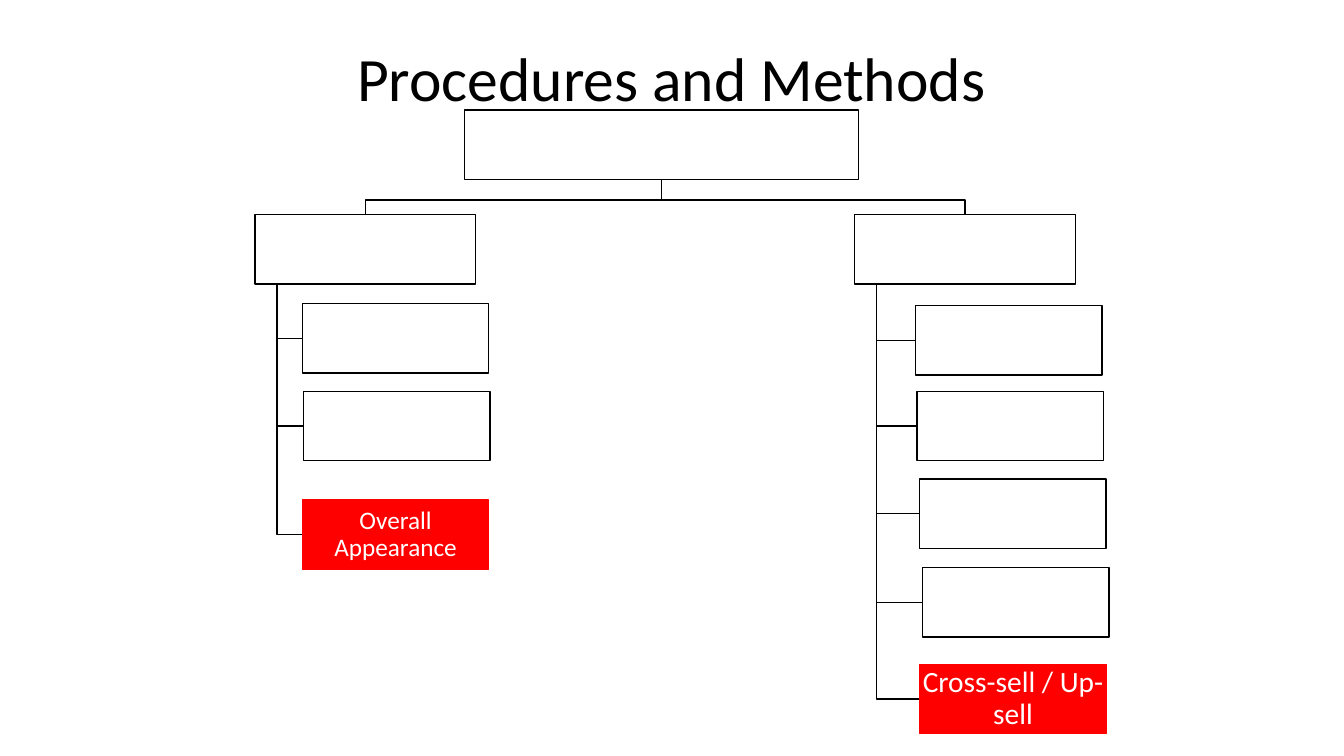
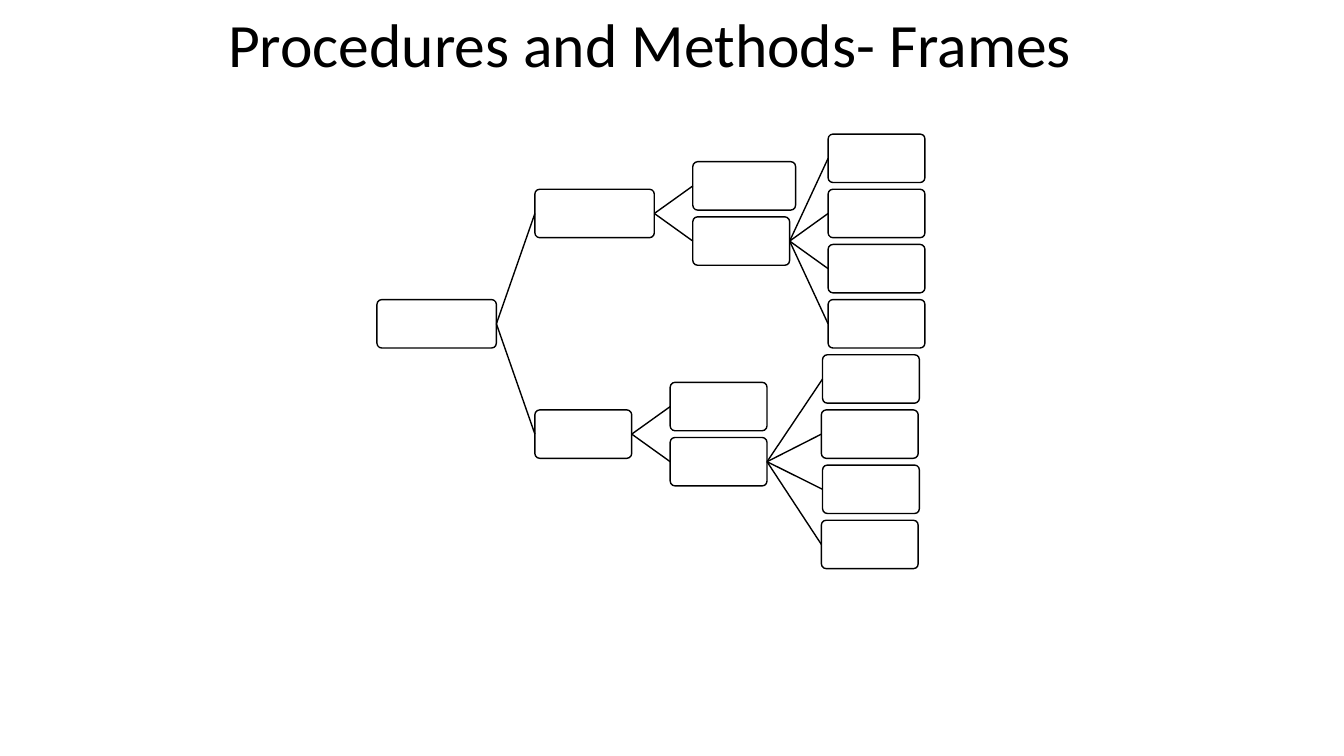
from dataclasses import dataclass

from lxml.etree import SubElement
from pptx import Presentation
from pptx.dml.color import RGBColor
from pptx.enum.shapes import MSO_CONNECTOR, MSO_SHAPE
from pptx.enum.text import MSO_ANCHOR, PP_ALIGN
from pptx.oxml.ns import qn
from pptx.util import Cm, Pt


@dataclass(frozen=True)
class Theme:
    font: str = "Calibri"
    ink: RGBColor = RGBColor(0x00, 0x00, 0x00)
    paper: RGBColor = RGBColor(0xFF, 0xFF, 0xFF)
    accent: RGBColor = RGBColor(0xFF, 0x00, 0x00)
    title_size: int = 44
    large_label: int = 21
    small_label: int = 18
    line_width: int = 1


THEME = Theme()


@dataclass(frozen=True)
class Box:
    """A rectangle in centimetres."""
    left: float
    top: float
    width: float
    height: float

    def inner(self, dx, dy, width, height):
        return Box(self.left + dx, self.top + dy, width, height)

    @property
    def right(self):
        return self.left + self.width

    @property
    def bottom(self):
        return self.top + self.height

    @property
    def center(self):
        return self.left + self.width / 2

    @property
    def middle(self):
        return self.top + self.height / 2

    @property
    def lengths(self):
        return Cm(self.left), Cm(self.top), Cm(self.width), Cm(self.height)


@dataclass(frozen=True)
class Step:
    """A box of the procedure chart, offset from the branch above it."""
    dx: float
    dy: float
    label: str = ""
    size: int = 0


@dataclass(frozen=True)
class Frame:
    """A box of the frame tree; gap is the distance to its parent."""
    row: float
    width: float = 2.44
    gap: float = 0.97
    children: tuple = ()


CHART_BOX_HEIGHT = 1.75
ROOT_OFFSET, ROOT_WIDTH = 5.28, 9.93
BRANCH_DROP, BRANCH_WIDTH = 2.64, 5.56
STEP_WIDTH = 4.7
BUS_GAP = 0.37

BRANCHES = (
    (0, (
        Step(1.19, 2.24),
        Step(1.22, 4.45),
        Step(1.19, 7.19, "Overall Appearance", THEME.small_label),
    )),
    (15.11, (
        Step(1.53, 2.29),
        Step(1.57, 4.45),
        Step(1.63, 6.66),
        Step(1.71, 8.89),
        Step(1.64, 11.33, "Cross-sell / Up-sell", THEME.large_label),
    )),
)

FRAME_HEIGHT, ROW_PITCH = 1.22, 1.39
UPPER_LEAVES = tuple(Frame(row) for row in range(4))
LOWER_LEAVES = tuple(Frame(row, gap=1.4 if row % 2 == 0 else 1.37)
                     for row in range(4, 8))
FRAME_TREE = Frame(3, 3.01, children=(
    Frame(1, 3.01, children=(
        Frame(0.5, 2.59), Frame(1.5, children=UPPER_LEAVES))),
    Frame(5, children=(
        Frame(4.5), Frame(5.5, children=LOWER_LEAVES))),
))


def style_line(line, color=THEME.ink):
    line.color.rgb = color
    line.width = Pt(THEME.line_width)


def add_run(paragraph, text, size, color):
    run = paragraph.add_run()
    run.text = text
    run.font.name = THEME.font
    run.font.size = Pt(size)
    run.font.color.rgb = color


def add_title(slide, box, text):
    frame = slide.shapes.add_textbox(*box.lengths).text_frame
    frame.word_wrap = True
    paragraph = frame.paragraphs[0]
    paragraph.alignment = PP_ALIGN.CENTER
    paragraph.line_spacing = 1.5
    add_run(paragraph, text, THEME.title_size, THEME.ink)


def add_node(slide, box, outline=MSO_SHAPE.RECTANGLE,
             fill=THEME.paper, border=THEME.ink):
    node = slide.shapes.add_shape(outline, *box.lengths)
    node.shadow.inherit = False
    node.fill.solid()
    node.fill.fore_color.rgb = fill
    style_line(node.line, border)
    return node


def add_route(slide, points):
    """Draw an open right-angled line through points."""
    start, *rest = [(Cm(x), Cm(y)) for x, y in points]
    builder = slide.shapes.build_freeform(*start)
    builder.add_line_segments(rest, close=False)
    route = builder.convert_to_shape()
    route.shadow.inherit = False
    route.fill.background()
    style_line(route.line)


def add_step(slide, box, step):
    if not step.label:
        add_node(slide, box)
        return
    node = add_node(slide, box, fill=THEME.accent, border=THEME.accent)
    frame = node.text_frame
    frame.word_wrap = True
    frame.vertical_anchor = MSO_ANCHOR.MIDDLE
    frame.margin_left = frame.margin_right = Cm(0.03)
    frame.margin_top = frame.margin_bottom = Cm(0.03)
    paragraph = frame.paragraphs[0]
    paragraph.alignment = PP_ALIGN.CENTER
    paragraph.line_spacing = 0.9
    add_run(paragraph, step.label, step.size, THEME.paper)


def add_branch(slide, branch, root, steps):
    bus = branch.top - BUS_GAP
    add_route(slide, [(root.center, root.bottom), (root.center, bus),
                      (branch.center, bus), (branch.center, branch.top)])
    trunk = branch.left + branch.width / 10
    for step in steps:
        box = branch.inner(step.dx, step.dy, STEP_WIDTH, CHART_BOX_HEIGHT)
        add_route(slide, [(trunk, branch.bottom), (trunk, box.middle),
                          (box.left, box.middle)])
        add_step(slide, box, step)
    add_node(slide, branch)


def add_procedure_chart(slide, area):
    root = area.inner(ROOT_OFFSET, 0, ROOT_WIDTH, CHART_BOX_HEIGHT)
    for offset, steps in BRANCHES:
        branch = area.inner(offset, BRANCH_DROP, BRANCH_WIDTH, CHART_BOX_HEIGHT)
        add_branch(slide, branch, root, steps)
    add_node(slide, root)


def link_frames(slide, parent, child):
    """Join the right side of parent to the left side of child."""
    link = slide.shapes.add_connector(MSO_CONNECTOR.STRAIGHT, 0, 0, 0, 0)
    link.begin_connect(parent, 3)
    link.end_connect(child, 1)
    style_line(link.line)
    SubElement(link._element.spPr, qn("a:effectLst"))


def add_frame_tree(slide, area, frame, dx=0):
    """Draw frame and everything below it, and return its shape."""
    box = area.inner(dx, frame.row * ROW_PITCH, frame.width, FRAME_HEIGHT)
    node = add_node(slide, box, MSO_SHAPE.ROUNDED_RECTANGLE)
    node.adjustments[0] = 0.1
    for child in frame.children:
        child_dx = dx + frame.width + child.gap
        link_frames(slide, node, add_frame_tree(slide, area, child, child_dx))
    return node


def main():
    deck = Presentation()
    deck.slide_width, deck.slide_height = Cm(33.87), Cm(19.05)
    blank = deck.slide_layouts[6]

    procedures = deck.slides.add_slide(blank)
    add_procedure_chart(procedures, Box(6.43, 2.77, 21.5, 15.75))
    add_title(procedures, Box(7.59, -0.05, 18.67, 2.79), "Procedures and Methods")

    frames = deck.slides.add_slide(blank)
    add_frame_tree(frames, Box(9.5, 3.38, 13.8, 10.95), FRAME_TREE)
    add_title(frames, Box(5.26, -0.91, 22.25, 2.79),
              "Procedures and Methods- Frames")

    deck.save("out.pptx")


if __name__ == "__main__":
    main()
